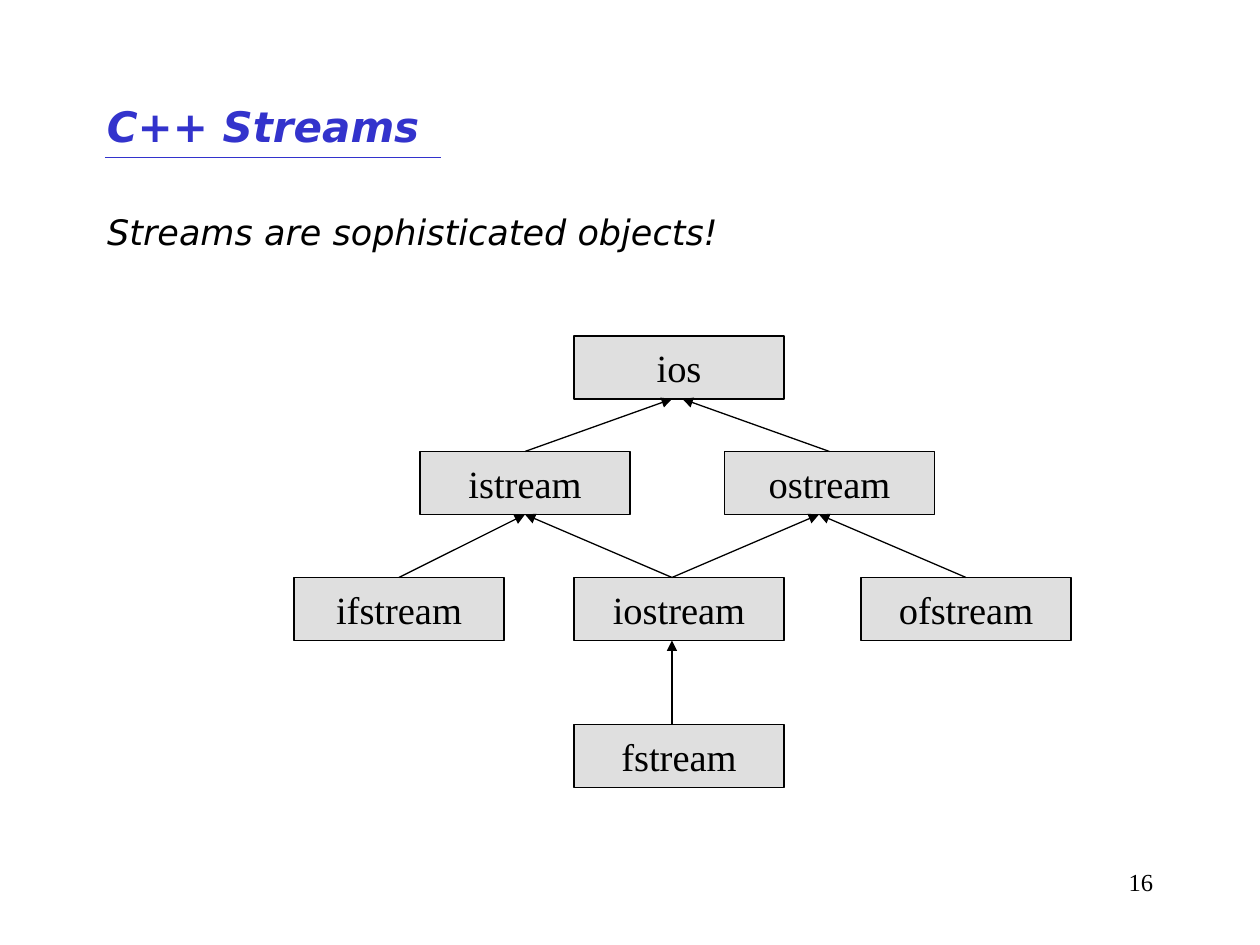
from lxml import etree
from pptx import Presentation
from pptx.dml.color import RGBColor
from pptx.enum.shapes import MSO_CONNECTOR, MSO_SHAPE
from pptx.enum.text import MSO_ANCHOR, PP_ALIGN
from pptx.oxml.ns import qn
from pptx.util import Pt

STRAIGHT = MSO_CONNECTOR.STRAIGHT
RECTANGLE = MSO_SHAPE.RECTANGLE
MIDDLE = MSO_ANCHOR.MIDDLE
LEFT, CENTER, RIGHT = PP_ALIGN.LEFT, PP_ALIGN.CENTER, PP_ALIGN.RIGHT

BLUE = RGBColor(0x33, 0x33, 0xCC)
BLACK = RGBColor(0x00, 0x00, 0x00)
SILVER = RGBColor(0xC0, 0xC0, 0xC0)
SANS = "DejaVu Sans"
SERIF = "Times New Roman"

TITLE_ONLY = 5
CLASS_WIDTH, CLASS_HEIGHT = 120, 36
ROOT_TOP, BASE_TOP, DERIVED_TOP, FILE_TOP = 192, 258, 330, 414
CENTER_LEFT = 328

# Class name, left, top
CLASSES = [
    ("ios", CENTER_LEFT, ROOT_TOP),
    ("istream", 240, BASE_TOP),
    ("ostream", 414, BASE_TOP),
    ("iostream", CENTER_LEFT, DERIVED_TOP),
    ("ifstream", 168, DERIVED_TOP),
    ("ofstream", 492, DERIVED_TOP),
    ("fstream", CENTER_LEFT, FILE_TOP),
]

# Subclass x, subclass row top, parent x, parent row top
INHERITANCE = [
    (384, FILE_TOP, 384, DERIVED_TOP),
    (384, DERIVED_TOP, 468, BASE_TOP),
    (384, DERIVED_TOP, 300, BASE_TOP),
    (228, DERIVED_TOP, 300, BASE_TOP),
    (552, DERIVED_TOP, 468, BASE_TOP),
    (300, BASE_TOP, 384, ROOT_TOP),
    (474, BASE_TOP, 390, ROOT_TOP),
]


def write_text(shape, text, font_name, size, color=BLACK, align=LEFT,
               bold=False, italic=False):
    shape.text_frame.text = text
    paragraph = shape.text_frame.paragraphs[0]
    paragraph.alignment = align
    font = paragraph.font
    font.name, font.size = font_name, Pt(size)
    font.bold, font.italic = bold, italic
    font.color.rgb = color


def add_label(slide, left, top, width, height, text, *style, **options):
    label = slide.shapes.add_textbox(Pt(left), Pt(top), Pt(width), Pt(height))
    label.text_frame.word_wrap = True
    write_text(label, text, *style, **options)


def place_title(slide, text):
    title = slide.shapes.title
    title.left, title.top = Pt(54), Pt(114)
    title.width, title.height = Pt(612), Pt(36)
    title.text_frame.vertical_anchor = MIDDLE
    write_text(title, text, SANS, 20, italic=True)


def add_class_box(slide, name, left, top):
    box = slide.shapes.add_shape(RECTANGLE, Pt(left), Pt(top),
                                 Pt(CLASS_WIDTH), Pt(CLASS_HEIGHT))
    box.shadow.inherit = False
    box.fill.solid()
    box.fill.fore_color.rgb = SILVER
    color = box.fill._xPr.find(qn("a:solidFill"))[0]
    etree.SubElement(color, qn("a:alpha"), val="50000")
    box.line.color.rgb = BLACK
    box.line.width = Pt(0.75)
    box.text_frame.word_wrap = False
    box.text_frame.vertical_anchor = MIDDLE
    write_text(box, name, SERIF, 22, align=CENTER)


def add_line(slide, start_x, start_y, end_x, end_y, color, width):
    line = slide.shapes.add_connector(STRAIGHT, Pt(start_x), Pt(start_y),
                                      Pt(end_x), Pt(end_y))
    line.line.color.rgb = color
    line.line.width = Pt(width)
    etree.SubElement(line._element.spPr, qn("a:effectLst"))
    return line


def add_inheritance_arrow(slide, child_x, child_top, parent_x, parent_top):
    """Point from the top of a subclass to the bottom of its parent."""
    arrow = add_line(slide, child_x, child_top,
                     parent_x, parent_top + CLASS_HEIGHT, BLACK, 0.75)
    etree.SubElement(arrow.line._get_or_add_ln(), qn("a:tailEnd"),
                     type="triangle")


def main():
    presentation = Presentation()
    presentation.slide_width, presentation.slide_height = Pt(720), Pt(540)
    layout = presentation.slide_layouts[TITLE_ONLY]
    slide = presentation.slides.add_slide(layout)

    add_label(slide, 54, 54, 378, 36, "C++ Streams", SANS, 24, BLUE,
              bold=True, italic=True)
    add_line(slide, 60, 90, 252, 90, BLUE, 1)
    place_title(slide, "Streams are sophisticated objects!")
    for name, left, top in CLASSES:
        add_class_box(slide, name, left, top)
    for ends in INHERITANCE:
        add_inheritance_arrow(slide, *ends)
    add_label(slide, 516, 492, 150, 36, "16", SERIF, 14, align=RIGHT)

    presentation.save("out.pptx")


if __name__ == "__main__":
    main()
